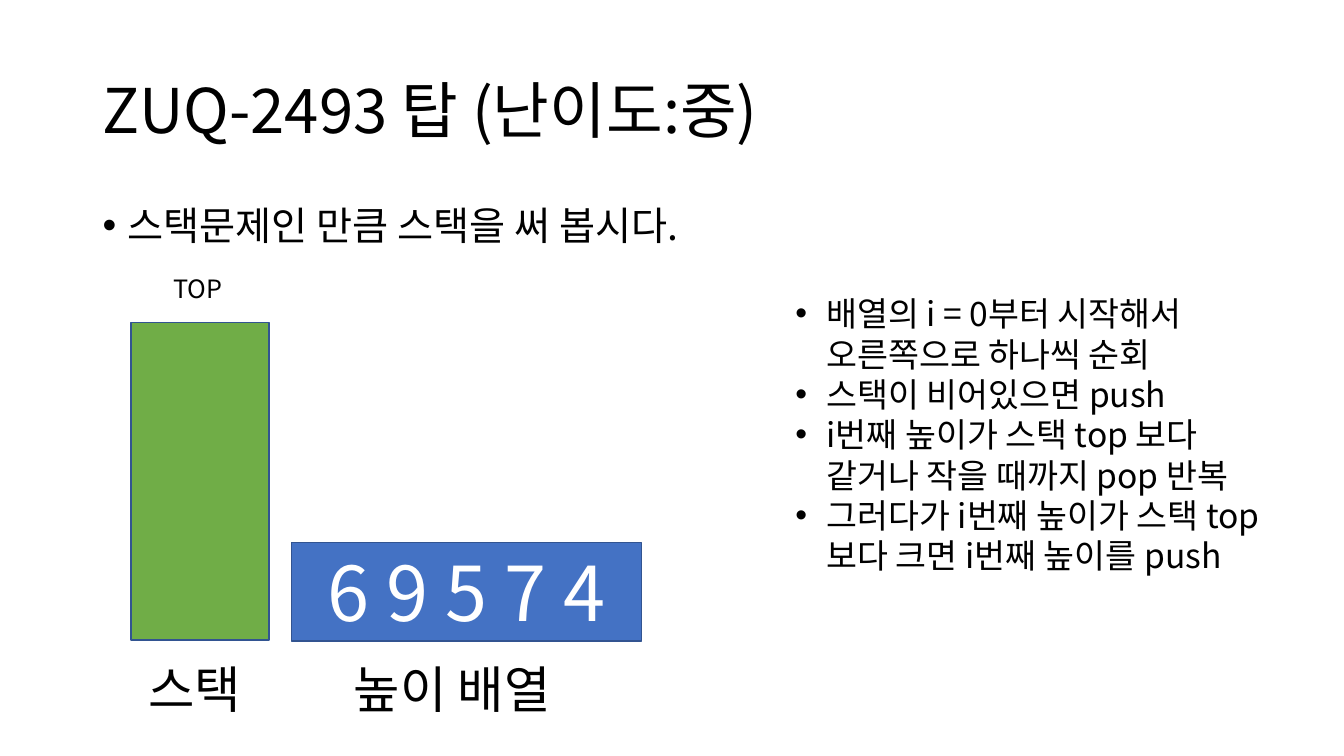
from lxml import etree
from pptx import Presentation
from pptx.dml.color import RGBColor
from pptx.enum.shapes import MSO_SHAPE
from pptx.enum.text import MSO_ANCHOR, PP_ALIGN
from pptx.oxml.ns import qn
from pptx.util import Inches, Pt

RECT = MSO_SHAPE.RECTANGLE
TOP, MIDDLE = MSO_ANCHOR.TOP, MSO_ANCHOR.MIDDLE
LEFT, CENTER = PP_ALIGN.LEFT, PP_ALIGN.CENTER
FONT = "Noto Sans CJK KR"
BLACK = RGBColor(0, 0, 0)
WHITE = RGBColor(255, 255, 255)
GREEN = RGBColor(0x70, 0xAD, 0x47)
BLUE = RGBColor(0x44, 0x72, 0xC4)
NAVY = RGBColor(0x32, 0x54, 0x91)

# Content: place (left, top, width, height), size, lines
TITLE = ((0.92, 0.4, 11.5, 1.45), 44, ["ZUQ-2493 탑 (난이도:중)"])
INTRO = ((0.92, 2, 11.5, 4.76), 28, ["스택문제인 만큼 스택을 써 봅시다."])
STEPS = ((7.79, 2.86, 4.99, 3.74), 24, [
    "배열의 i = 0부터 시작해서 오른쪽으로 하나씩\u00a0순회",
    "스택이 비어있으면 push",
    "i번째 높이가 스택 top 보다 같거나 작을 때까지 pop 반복",
    "그러다가 i번째 높이가 스택 top보다 크면 i번째 높이를 push",
])
LABELS = [
    ((1.37, 6.48, 1.9, 0.71), 36, ["스택"]),
    ((3.41, 6.48, 3, 0.71), 36, ["높이 배열"]),
    ((1.62, 2.66, 3, 0.4), 18, ["TOP"]),
]
STACK = (1.3, 3.2, 1.37, 3.15)
ARRAY = (2.89, 5.38, 3.47, 0.98)
HEIGHTS = [6, 9, 5, 7, 4]


def add_bullet(para, indent):
    props = para._p.get_or_add_pPr()
    props.set("marL", str(Inches(indent)))
    props.set("indent", str(-Inches(indent)))
    etree.SubElement(props, qn("a:buFont")).set("typeface", "Arial")
    etree.SubElement(props, qn("a:buChar")).set("char", "•")


def write(shape, size, lines, color=BLACK, align=LEFT, anchor=TOP,
          indent=0, spacing=1.0, before=0):
    frame = shape.text_frame
    frame.word_wrap = True
    frame.vertical_anchor = anchor
    frame.text = "\n".join(lines)
    for para in frame.paragraphs:
        if indent:
            add_bullet(para, indent)
        para.alignment = align
        para.line_spacing = spacing
        para.space_before = Pt(before)
        font = para.font
        font.name, font.size = FONT, Pt(size)
        font.color.rgb = color
        # Korean letters take the East Asian font
        etree.SubElement(font._rPr, qn("a:ea")).set("typeface", FONT)


def add_text(place, size, lines, **style):
    box = slide.shapes.add_textbox(*map(Inches, place))
    write(box, size, lines, **style)


def add_rect(place, fill):
    rect = slide.shapes.add_shape(RECT, *map(Inches, place))
    rect.shadow.inherit = False
    rect.fill.solid()
    rect.fill.fore_color.rgb = fill
    rect.line.color.rgb = NAVY
    rect.line.width = Pt(1)
    return rect


deck = Presentation()
deck.slide_width, deck.slide_height = Inches(13.33), Inches(7.5)
slide = deck.slides.add_slide(deck.slide_layouts[6])

# Title and opening line
add_text(*TITLE, anchor=MIDDLE, spacing=0.9)
add_text(*INTRO, indent=0.25, spacing=0.9, before=10)

# Stack and height array
add_rect(STACK, GREEN)
write(add_rect(ARRAY, BLUE), 54, [" ".join(map(str, HEIGHTS))],
      color=WHITE, align=CENTER, anchor=MIDDLE)
for label in LABELS:
    add_text(*label)

# Steps of the method
add_text(*STEPS, indent=0.31)

deck.save("out.pptx")
